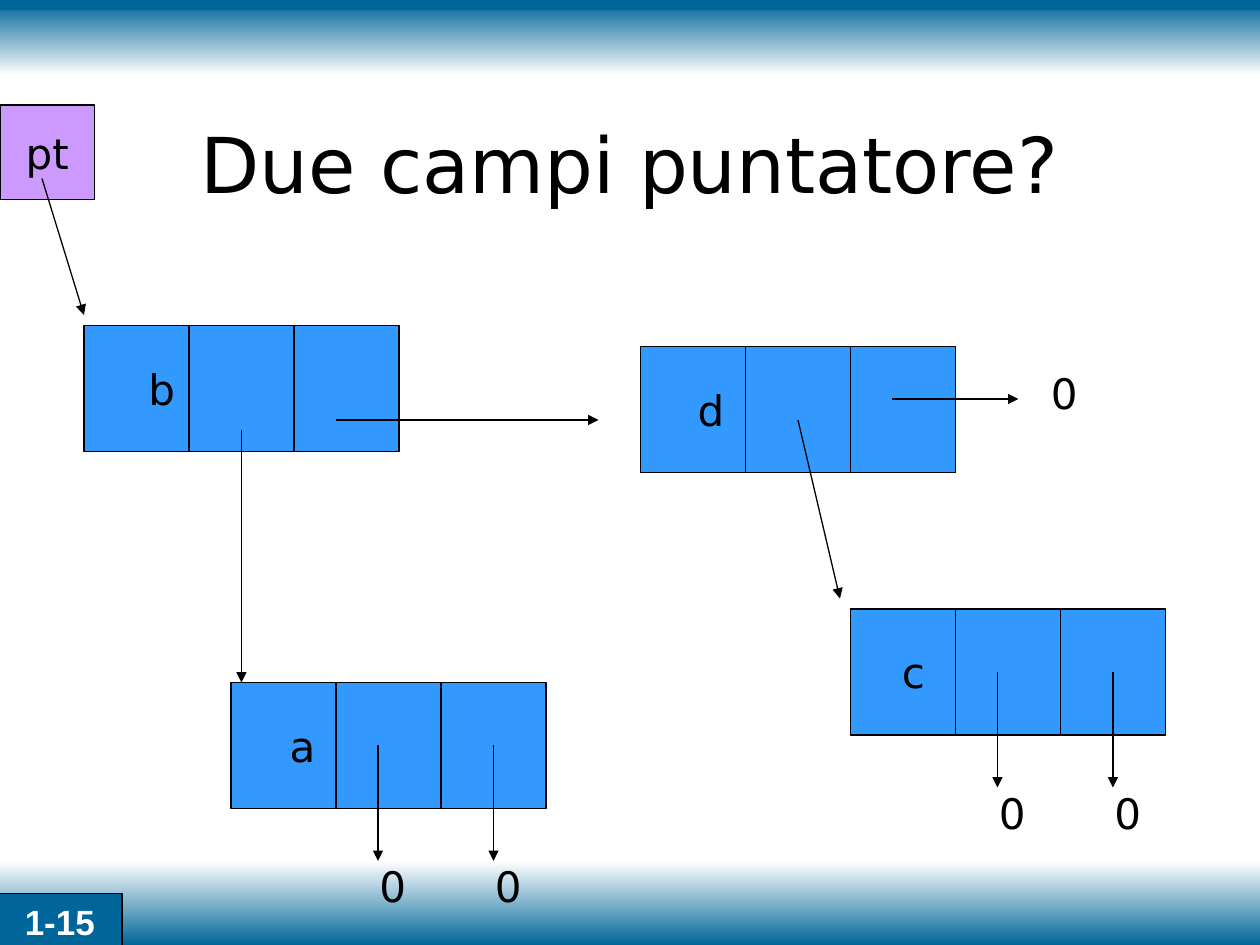
"""Draw linked nodes with two pointer fields each on a 120 by 90 grid."""
from typing import NamedTuple

import lxml.etree
import pptx
import pptx.dml.color
import pptx.enum.shapes
import pptx.enum.text
import pptx.oxml.ns
import pptx.util

COLS, ROWS = 120, 90
CELL, TALL = 10, 12
FONT = "DejaVu Sans"
BLACK, WHITE, TEAL, BLUE, LILAC = "000000", "FFFFFF", "006699", "3399FF", "CC99FF"
ALIGN = pptx.enum.text.PP_ALIGN
MIDDLE = pptx.enum.text.MSO_ANCHOR.MIDDLE
RECT = pptx.enum.shapes.MSO_SHAPE.RECTANGLE
LINE = pptx.enum.shapes.MSO_CONNECTOR.STRAIGHT


class Box(NamedTuple):
    x: float
    y: float
    w: float
    h: float


class Node(NamedTuple):
    name: str
    x: float
    y: float
    mid: float
    ends: bool


class Link(NamedTuple):
    x: float
    y: float
    x2: float
    y2: float


NODES = [
    Node("b", 8, 31, 7.4, False),
    Node("d", 61, 33, 6.7, False),
    Node("c", 81, 58, 6, True),
    Node("a", 22, 65, 6.8, True),
]
LINKS = [
    Link(32, 40, 57, 40),
    Link(23, 41, 23, 65),
    Link(76, 40, 80, 57),
    Link(4, 17, 8, 30),
    Link(85, 38, 97, 38),
]

deck = pptx.Presentation()
deck.slide_width = pptx.util.Inches(10)
deck.slide_height = pptx.util.Inches(7.5)
slide = deck.slides.add_slide(deck.slide_layouts[5])


def hue(code: str) -> pptx.dml.color.RGBColor:
    return pptx.dml.color.RGBColor.from_string(code)


def place(x: float, y: float) -> tuple[int, int]:
    return int(deck.slide_width * x / COLS), int(deck.slide_height * y / ROWS)


def write(shape, text: str, size: float = 24, color: str = BLACK,
          font: str = FONT, bold: bool = False, align=ALIGN.CENTER) -> None:
    para = shape.text_frame.paragraphs[0]
    para.alignment = align
    run = para.add_run()
    run.text = text
    run.font.size = pptx.util.Pt(size)
    run.font.name = font
    run.font.bold = bold
    run.font.color.rgb = hue(color)


def draw_box(box: Box, fill: str, edge: float = 0.75):
    shape = slide.shapes.add_shape(RECT, *place(box.x, box.y), *place(box.w, box.h))
    shape.shadow.inherit = False
    shape.fill.solid()
    shape.fill.fore_color.rgb = hue(fill)
    shape.line.color.rgb = hue(BLACK)
    shape.line.width = pptx.util.Pt(edge)
    shape.text_frame.vertical_anchor = MIDDLE
    return shape


def draw_band(box: Box, top: str, base: str) -> None:
    band = draw_box(box, top)
    band.line.fill.background()
    band.fill.gradient()
    band.fill.gradient_angle = 270
    for stop, code in zip(band.fill.gradient_stops, (top, base)):
        stop.color.rgb = hue(code)


def draw_line(link: Link, arrow: bool = False, color: str = BLACK, width: float = 0.75) -> None:
    line = slide.shapes.add_connector(LINE, *place(link.x, link.y), *place(link.x2, link.y2))
    line.line.color.rgb = hue(color)
    line.line.width = pptx.util.Pt(width)
    props = line.element.spPr
    tag = pptx.oxml.ns.qn
    if arrow:
        lxml.etree.SubElement(props.find(tag("a:ln")), tag("a:tailEnd"), type="triangle")
    lxml.etree.SubElement(props, tag("a:effectLst"))


def draw_zero(x: float, y: float) -> None:
    zero = slide.shapes.add_textbox(*place(x, y), *place(4.7, 6))
    zero.text_frame.word_wrap = False
    write(zero, "0", align=ALIGN.LEFT)


def draw_node(node: Node) -> None:
    shape = draw_box(Box(node.x, node.y, 3 * CELL, TALL), BLUE)
    shape.text_frame.margin_left = 0
    shape.text_frame.margin_right = place(3 * CELL - 2 * node.mid, 0)[0]
    write(shape, node.name)
    for part in (1, 2):
        x = node.x + part * CELL
        draw_line(Link(x, node.y, x, node.y + TALL))
    if node.ends:
        for step in (14, 25):
            x, y = node.x + step, node.y + TALL / 2
            draw_line(Link(x, y, x, y + 11), True)
            draw_zero(x - 1.05, y + 10.4)


def main() -> None:
    draw_band(Box(0, 0.2, COLS, 7), TEAL, WHITE)
    draw_band(Box(0, 82, COLS, 8), WHITE, TEAL)
    draw_line(Link(0, 0.5, COLS, 0.5), color=TEAL, width=6)
    page = draw_box(Box(-0.2, 85.1, 11.8, 5.3), TEAL, 1)
    write(page, "1-15", 20, WHITE, "Arial", True)

    title = slide.shapes.title
    title.left, title.top = place(9, 8)
    title.width, title.height = place(102, 15)
    title.text_frame.vertical_anchor = MIDDLE
    write(title, "Due campi puntatore?", 44)

    for node in NODES:
        draw_node(node)
    start = draw_box(Box(0, 10, 9, 9), LILAC)
    start.text_frame.word_wrap = False
    write(start, "pt")
    for link in LINKS:
        draw_line(link, True)
    draw_zero(98.9, 34.4)
    deck.save("out.pptx")


if __name__ == "__main__":
    main()
